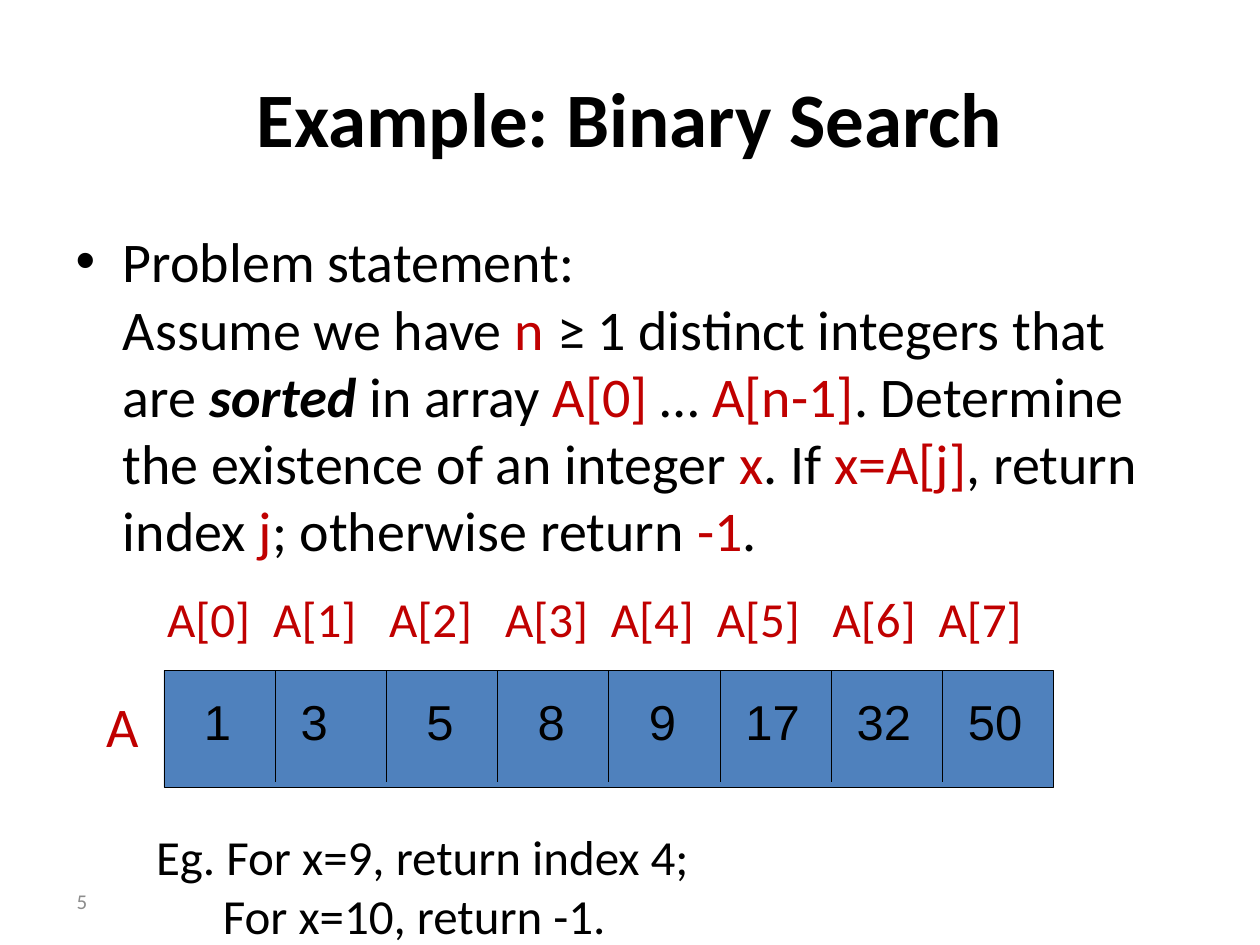
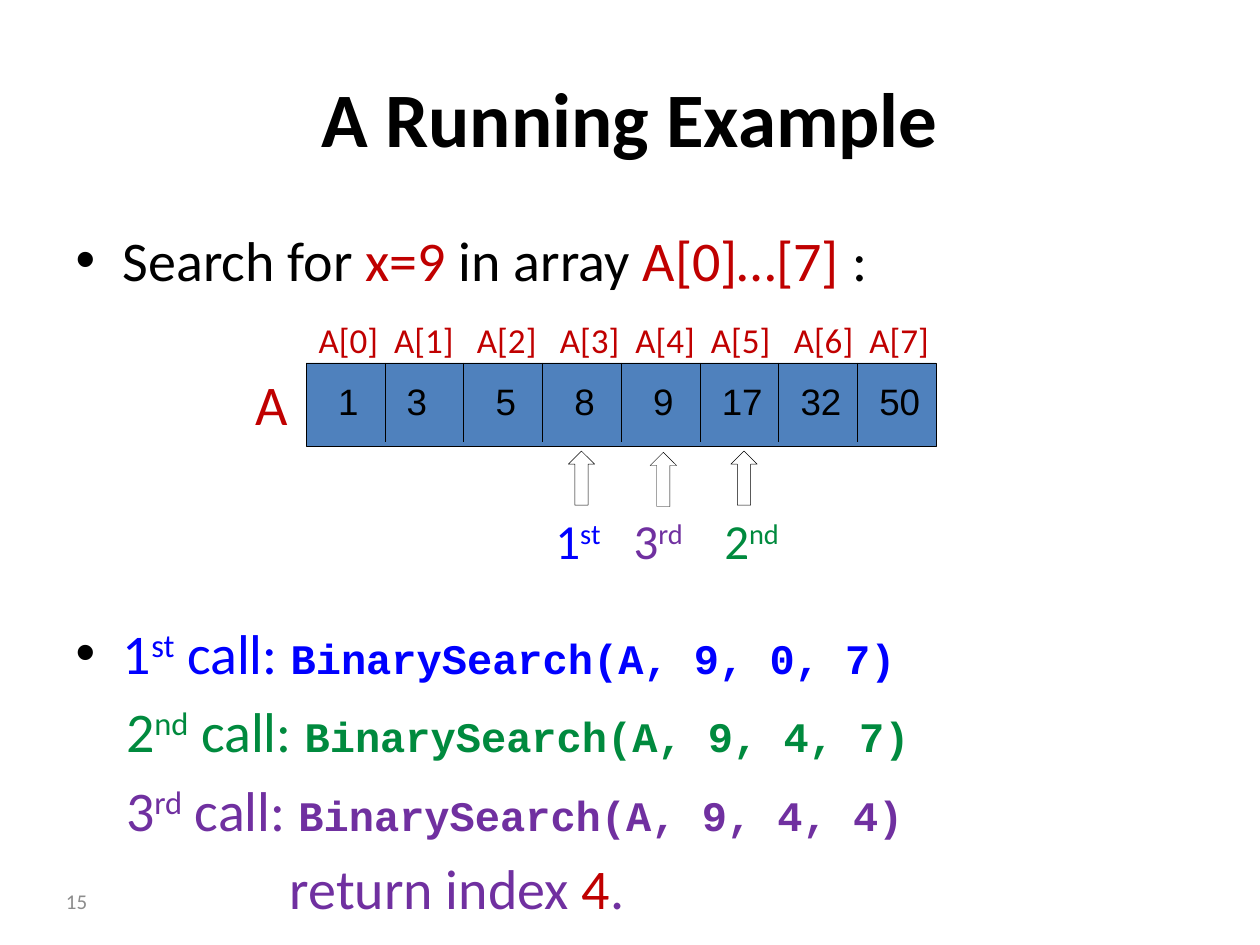
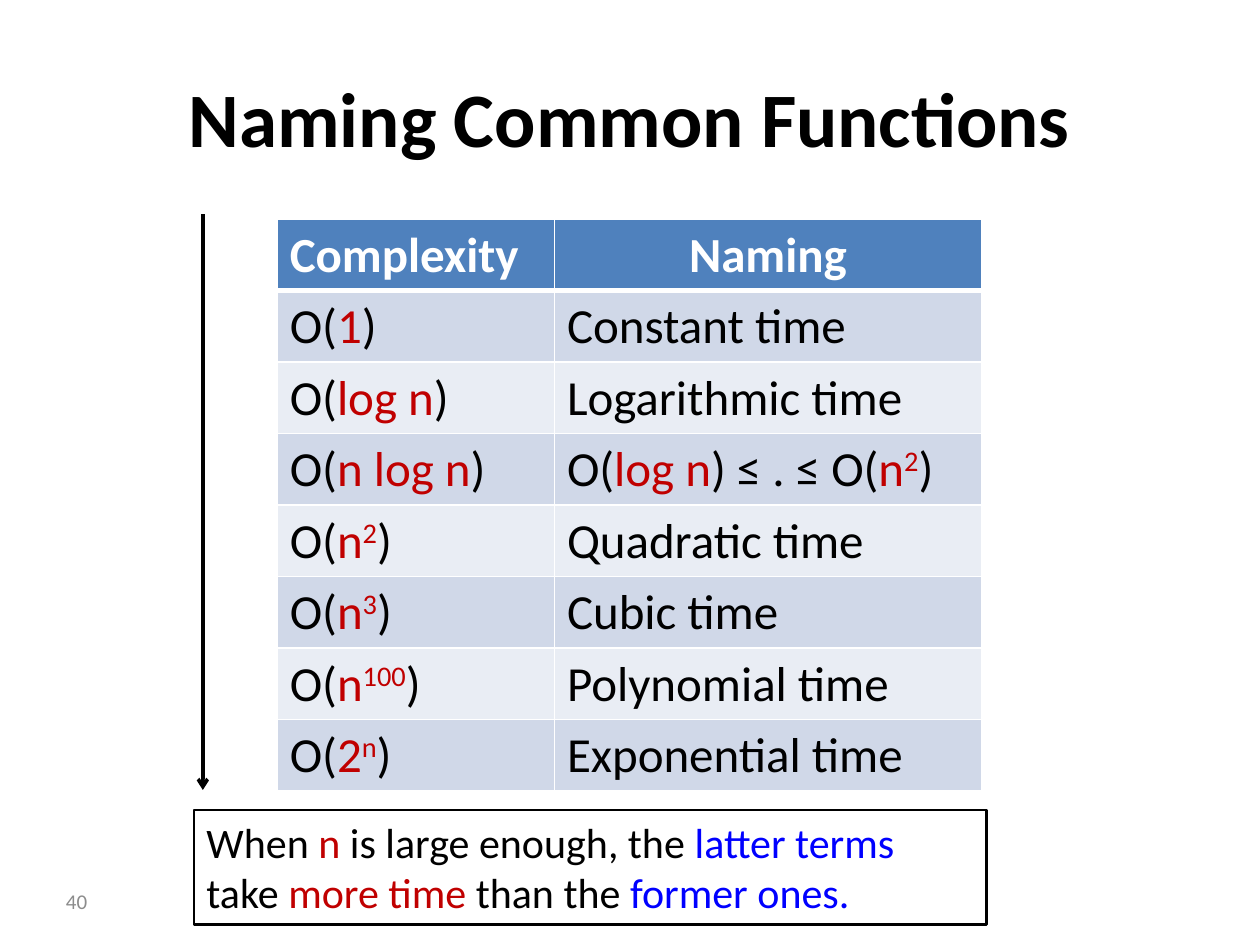
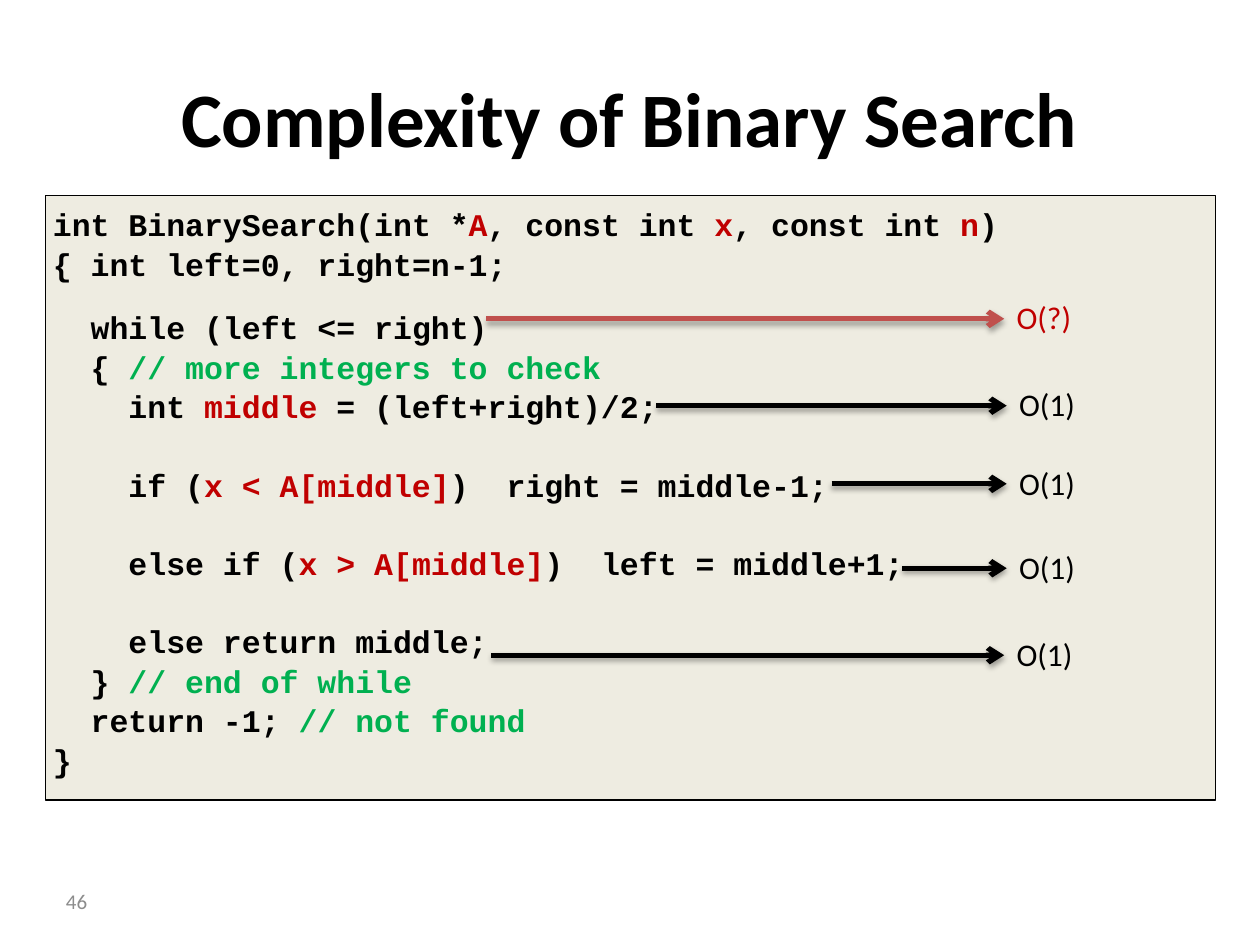
from dataclasses import dataclass
from typing import NamedTuple, Optional, Sequence

from lxml.etree import SubElement
from pptx import Presentation
from pptx.dml.color import RGBColor
from pptx.enum.shapes import MSO_CONNECTOR, MSO_SHAPE
from pptx.enum.text import MSO_ANCHOR, MSO_AUTO_SIZE, PP_ALIGN
from pptx.oxml.ns import qn
from pptx.util import Inches, Pt

BLACK, WHITE, RED, BLUE = "000000", "FFFFFF", "C00000", "0000FF"
GREEN, PURPLE, COMMENT = "008A3E", "7030A0", "00B050"
GRAY, ACCENT, ACCENT_RED, CODE_FILL = "8C8C8C", "4F81BD", "C0504D", "EEECE1"
TABLE_BANDS = ("D0D8E8", "E9EDF4")
BODY_FONT, ARRAY_FONT, CODE_FONT = "Calibri", "Arial", "Courier New"
TITLE_AND_CONTENT, TITLE_ONLY = 1, 5
LABEL_STOPS = (0.84, 1.76, 2.68, 3.52, 4.36, 5.28, 6.12)
ARRAY_LABELS = "\t".join(f"A[{index}]" for index in range(8))


class Piece(NamedTuple):
    text: str
    color: str = BLACK
    bold: bool = False
    italic: bool = False
    raised: bool = False
    font: Optional[str] = None
    size: Optional[float] = None


class Box(NamedTuple):
    left: float
    top: float
    width: float
    height: float

    def lengths(self):
        return [Inches(value) for value in self]


class ArrayValue(NamedTuple):
    text: str
    shift: float
    width: float


ARRAY_VALUES = (
    ArrayValue("1", 0.25, 0.62), ArrayValue("3", 0.12, 0.62),
    ArrayValue("5", 0.25, 0.62), ArrayValue("8", 0.25, 0.62),
    ArrayValue("9", 0.25, 0.62), ArrayValue("17", 0.12, 0.87),
    ArrayValue("32", 0.12, 0.87), ArrayValue("50", 0.12, 0.87),
)


@dataclass
class ArrayDrawing:
    box: Box
    divider_height: float
    value_top: float
    value_height: float
    value_size: float
    name_left: float
    name_top: float


class Call(NamedTuple):
    number: str
    suffix: str
    color: str
    arguments: str
    label_left: float
    label_width: float
    arrow_left: float
    arrow_top: float

    def ordinal(self):
        return [Piece(self.number, self.color),
                Piece(self.suffix, self.color, raised=True)]


class CodeLine(NamedTuple):
    level: int
    pieces: Sequence[Piece]
    space_before: float = 9.75


class Cost(NamedTuple):
    text: str
    start: float
    left: float
    top: float
    text_color: str = BLACK
    line_color: str = BLACK


def rgb(color: str) -> RGBColor:
    return RGBColor.from_string(color)


def add_runs(paragraph, pieces: Sequence[Piece], size: float,
             font: str = BODY_FONT) -> None:
    for piece in pieces:
        if piece.text == "\n":
            paragraph.add_line_break()
            continue
        run = paragraph.add_run()
        run.text = piece.text
        run.font.name = piece.font or font
        run.font.size = Pt(piece.size or size)
        run.font.bold = piece.bold
        run.font.italic = piece.italic
        run.font.color.rgb = rgb(piece.color)
        if piece.raised:
            run._r.get_or_add_rPr().set("baseline", "30000")


def set_indent(paragraph, left: float) -> None:
    properties = paragraph._p.get_or_add_pPr()
    properties.set("marL", str(Inches(left)))
    properties.set("indent", "0")


def set_tab_stops(paragraph, stops: Sequence[float]) -> None:
    tab_list = SubElement(paragraph._p.get_or_add_pPr(), qn("a:tabLst"))
    for stop in stops:
        SubElement(tab_list, qn("a:tab"), pos=str(Inches(stop)), algn="l")


def remove_bullet(paragraph) -> None:
    SubElement(paragraph._p.get_or_add_pPr(), qn("a:buNone"))


def color_bullet(paragraph, color: str) -> None:
    bullet_color = SubElement(paragraph._p.get_or_add_pPr(), qn("a:buClr"))
    SubElement(bullet_color, qn("a:srgbClr"), val=color)


def add_text(slide, box: Box, pieces: Sequence[Piece], size: float,
             font: str = BODY_FONT, wrap: bool = True):
    shape = slide.shapes.add_textbox(*box.lengths())
    shape.text_frame.word_wrap = wrap
    add_runs(shape.text_frame.paragraphs[0], pieces, size, font)
    return shape


def add_outlined_shape(slide, kind, box: Box, fill: Optional[str], width: float):
    shape = slide.shapes.add_shape(kind, *box.lengths())
    shape.shadow.inherit = False
    if fill:
        shape.fill.solid()
        shape.fill.fore_color.rgb = rgb(fill)
    else:
        shape.fill.background()
    shape.line.color.rgb = rgb(BLACK)
    shape.line.width = Pt(width)
    return shape


def add_line(slide, start: tuple[float, float], end: tuple[float, float],
             color: str, width: float, arrow: bool = False,
             shadow: bool = False) -> None:
    points = [Inches(value) for value in (*start, *end)]
    connector = slide.shapes.add_connector(MSO_CONNECTOR.STRAIGHT, *points)
    connector.line.color.rgb = rgb(color)
    connector.line.width = Pt(width)
    properties = connector._element.spPr
    if arrow:
        SubElement(properties.find(qn("a:ln")), qn("a:tailEnd"), type="arrow")
    effects = SubElement(properties, qn("a:effectLst"))
    if shadow:
        outer = SubElement(effects, qn("a:outerShdw"), blurRad=str(Pt(3.1)),
                           dist=str(Pt(1.8)), dir="5400000", rotWithShape="0")
        shadow_color = SubElement(outer, qn("a:srgbClr"), val=BLACK)
        SubElement(shadow_color, qn("a:alpha"), val="35000")


def add_slide(presentation, layout: int, title: str, number: int):
    slide = presentation.slides.add_slide(presentation.slide_layouts[layout])
    add_runs(slide.shapes.title.text_frame.paragraphs[0],
             [Piece(title, bold=True)], 44)
    footer = add_text(slide, Box(0, 6.95, 0.79, 0.4),
                      [Piece(str(number), GRAY)], 12)
    footer.text_frame.vertical_anchor = MSO_ANCHOR.MIDDLE
    footer.text_frame.paragraphs[0].alignment = PP_ALIGN.RIGHT
    return slide


def place_body(slide, box: Box):
    body = slide.placeholders[1]
    body.left, body.top, body.width, body.height = box.lengths()
    body.text_frame.auto_size = MSO_AUTO_SIZE.NONE
    return body.text_frame


def draw_array(slide, drawing: ArrayDrawing) -> None:
    box = drawing.box
    cell = box.width / len(ARRAY_VALUES)
    add_outlined_shape(slide, MSO_SHAPE.RECTANGLE, box, ACCENT, 0.25)
    add_text(slide, Box(drawing.name_left, drawing.name_top, 0.46, 0.64),
             [Piece("A", RED)], 32, wrap=False)
    for index, value in enumerate(ARRAY_VALUES):
        left = box.left + index * cell
        value_box = Box(left + value.shift * cell, drawing.value_top,
                        value.width * cell, drawing.value_height)
        add_text(slide, value_box, [Piece(value.text)],
                 drawing.value_size, ARRAY_FONT)
        if index:
            add_line(slide, (left, box.top),
                     (left, box.top + drawing.divider_height), BLACK, 0.25)


def build_problem(presentation) -> None:
    slide = add_slide(presentation, TITLE_AND_CONTENT,
                      "Example: Binary Search", 5)
    frame = place_body(slide, Box(0.5, 1.75, 9, 4.95))
    add_runs(frame.paragraphs[0], [
        Piece("Problem statement: "), Piece("\n"), Piece("Assume we have "),
        Piece("n", RED), Piece(" ≥ 1 distinct integers that are "),
        Piece("sorted", bold=True, italic=True), Piece(" in array "),
        Piece("A[0] ", RED), Piece("… "), Piece("A[n-1]", RED),
        Piece(". Determine the existence of an integer "), Piece("x", RED),
        Piece(". If "), Piece("x=A[j]", RED), Piece(", return index "),
        Piece("j", RED), Piece("; otherwise return "), Piece("-1", RED),
        Piece("."),
    ], 32)
    labels = add_text(slide, Box(1.14, 4.62, 8.11, 2.88),
                      [Piece(" " + ARRAY_LABELS, RED)], 28)
    set_tab_stops(labels.text_frame.paragraphs[0],
                  [stop + 0.09 for stop in LABEL_STOPS])
    example = labels.text_frame.add_paragraph()
    example.space_before = Pt(102.5)
    add_runs(example, [Piece("Eg. For x=9, return index 4;")], 28)
    missing = labels.text_frame.add_paragraph()
    set_indent(missing, 0.53)
    add_runs(missing, [Piece("For x=10, return -1.")], 28)
    draw_array(slide, ArrayDrawing(Box(1.3, 5.32, 7.06, 0.93), 0.89,
                                   5.44, 0.57, 28, 0.75, 5.44))


def build_running_example(presentation) -> None:
    slide = add_slide(presentation, TITLE_AND_CONTENT, "A Running Example", 15)
    calls = (
        Call("1", "st", BLUE, "A, 9, 0, 7", 4.31, 0.62, 4.51, 3.58),
        Call("2", "nd", GREEN, "A, 9, 4, 7", 5.65, 0.7, 5.8, 3.58),
        Call("3", "rd", PURPLE, "A, 9, 4, 4", 4.93, 0.62, 5.16, 3.59),
    )
    frame = place_body(slide, Box(0.5, 1.74, 9, 5.56))
    add_runs(frame.paragraphs[0], [
        Piece("Search for "), Piece("x=9", RED), Piece(" in array "),
        Piece("A[0]…[7]", RED), Piece(" :"),
    ], 32)
    for index, call in enumerate(calls):
        paragraph = frame.add_paragraph()
        if index:
            set_indent(paragraph, 0.4)
            remove_bullet(paragraph)
        else:
            paragraph.space_before = Pt(186)
            color_bullet(paragraph, BLACK)
        add_runs(paragraph, [
            *call.ordinal(), Piece(" call: ", call.color),
            Piece(f"BinarySearch({call.arguments})", call.color, bold=True,
                  font=CODE_FONT, size=24),
        ], 32)
        add_text(slide, Box(call.label_left, 4, call.label_width, 0.57),
                 call.ordinal(), 28)
        add_outlined_shape(slide, MSO_SHAPE.UP_ARROW,
                           Box(call.arrow_left, call.arrow_top, 0.21, 0.43),
                           None, 0.25)
    result = frame.add_paragraph()
    set_indent(result, 1.7)
    remove_bullet(result)
    add_runs(result, [Piece("return index ", PURPLE), Piece("4", RED),
                      Piece(".", PURPLE)], 32)
    draw_array(slide, ArrayDrawing(Box(2.43, 2.88, 5, 0.66), 0.63,
                                   2.96, 0.45, 21, 1.93, 2.88))
    labels = add_text(slide, Box(2.43, 2.48, 5.09, 0.44),
                      [Piece(ARRAY_LABELS, RED)], 20, wrap=False)
    set_tab_stops(labels.text_frame.paragraphs[0],
                  [stop * 20 / 28 for stop in LABEL_STOPS])


def big_o(base: str, exponent: str = "") -> list[Piece]:
    power = [Piece(exponent, RED, raised=True)] if exponent else []
    return [Piece("O("), Piece(base, RED), *power, Piece(")")]


def format_cell(cell, pieces: Sequence[Piece], fill: str, top: float,
                bottom: float) -> None:
    add_runs(cell.text_frame.paragraphs[0], pieces, 28)
    properties = cell._tc.get_or_add_tcPr()
    for side, width in (("L", 1), ("R", 1), ("T", top), ("B", bottom)):
        border = SubElement(properties, qn(f"a:ln{side}"), w=str(Pt(width)))
        border_fill = SubElement(border, qn("a:solidFill"))
        SubElement(border_fill, qn("a:srgbClr"), val=WHITE)
    cell.fill.solid()
    cell.fill.fore_color.rgb = rgb(fill)


def build_naming(presentation) -> None:
    slide = add_slide(presentation, TITLE_ONLY, "Naming Common Functions", 40)
    rows = (
        ([Piece("Complexity", WHITE, bold=True)],
         [Piece("Naming", WHITE, bold=True)]),
        (big_o("1"), [Piece("Constant time")]),
        (big_o("log n"), [Piece("Logarithmic time")]),
        (big_o("n log n"),
         [*big_o("log n"), Piece(" ≤ . ≤ "), *big_o("n", "2")]),
        (big_o("n", "2"), [Piece("Quadratic time")]),
        (big_o("n", "3"), [Piece("Cubic time")]),
        (big_o("n", "100"), [Piece("Polynomial time")]),
        (big_o("2", "n"), [Piece("Exponential time")]),
    )
    table = slide.shapes.add_table(len(rows), 2, *Box(2.2, 1.74, 5.59, 4.53)
                                   .lengths()).table
    for column, width in zip(table.columns, (2.2, 3.39)):
        column.width = Inches(width)
    for row_index, row in enumerate(rows):
        fill = TABLE_BANDS[(row_index - 1) % 2] if row_index else ACCENT
        for column_index, pieces in enumerate(row):
            format_cell(table.cell(row_index, column_index), pieces, fill,
                        3 if row_index == 1 else 1, 1 if row_index else 3)
    table.cell(0, 1).text_frame.paragraphs[0].alignment = PP_ALIGN.CENTER
    add_line(slide, (1.61, 1.7), (1.61, 6.27), BLACK, 2, arrow=True)
    callout = add_outlined_shape(slide, MSO_SHAPE.RECTANGLE,
                                 Box(1.54, 6.43, 6.29, 0.91), None, 1.5)
    callout.text_frame.word_wrap = True
    callout.text_frame.vertical_anchor = MSO_ANCHOR.TOP
    paragraph = callout.text_frame.paragraphs[0]
    paragraph.alignment = PP_ALIGN.LEFT
    add_runs(paragraph, [
        Piece("When "), Piece("n", RED), Piece(" is large enough, the "),
        Piece("latter terms ", BLUE), Piece("take "), Piece("more time", RED),
        Piece(" than the "), Piece("former ones.", BLUE),
    ], 24)


def code(text: str, color: str = BLACK) -> Piece:
    return Piece(text, color, bold=True)


def build_complexity(presentation) -> None:
    slide = add_slide(presentation, TITLE_ONLY,
                      "Complexity of Binary Search", 46)
    after_half_line, after_line = 23.2, 31.75
    lines = (
        CodeLine(0, [code("int BinarySearch(int *"), code("A", RED),
                     code(", const int "), code("x", RED),
                     code(", const int"), code(" n", RED), code(")")]),
        CodeLine(0, [code("{ int left=0, right=n-1;")]),
        CodeLine(1, [code("while (left <= right)")], after_half_line),
        CodeLine(1, [code("{ "), code("// more integers to check", COMMENT)]),
        CodeLine(2, [code("int "), code("middle ", RED),
                     code("= (left+right)/2;")]),
        CodeLine(2, [code("if ("), code("x < A[middle]", RED),
                     code(")  right = middle-1;")], after_line),
        CodeLine(2, [code("else if ("), code("x > A[middle]", RED),
                     code(")  left = middle+1;")], after_line),
        CodeLine(2, [code("else return middle;")], after_line),
        CodeLine(1, [code("} "), code("// end of while", COMMENT)]),
        CodeLine(1, [code("return -1; "), code("// not found", COMMENT)]),
        CodeLine(0, [code("}")]),
    )
    panel = add_outlined_shape(slide, MSO_SHAPE.RECTANGLE,
                               Box(0.36, 1.55, 9.29, 4.8), CODE_FILL, 0.75)
    frame = panel.text_frame
    frame.word_wrap = True
    frame.vertical_anchor = MSO_ANCHOR.MIDDLE
    frame.margin_left = frame.margin_right = Inches(0.06)
    frame.margin_top = frame.margin_bottom = Inches(0.13)
    for index, line in enumerate(lines):
        paragraph = frame.add_paragraph() if index else frame.paragraphs[0]
        paragraph.alignment = PP_ALIGN.LEFT
        paragraph.line_spacing = 0.6
        paragraph.space_before = Pt(line.space_before)
        set_indent(paragraph, 0.3 * line.level)
        add_runs(paragraph, line.pieces, 18, CODE_FONT)
    costs = (
        Cost("O(?)", 3.86, 7.97, 2.32, RED, ACCENT_RED),
        Cost("O(1)", 5.21, 7.99, 3.01),
        Cost("O(1)", 6.6, 7.99, 3.63),
        Cost("O(1)", 7.16, 7.99, 4.3),
        Cost("O(1)", 3.9, 7.97, 4.99),
    )
    for cost in costs:
        add_text(slide, Box(cost.left, cost.top, 0.65, 0.4),
                 [Piece(cost.text, cost.text_color)], 18, wrap=False)
        height = cost.top + 0.21
        add_line(slide, (cost.start, height), (cost.left, height),
                 cost.line_color, 3, arrow=True, shadow=True)


def main() -> None:
    presentation = Presentation()
    presentation.slide_width = Inches(10)
    presentation.slide_height = Inches(7.5)
    build_problem(presentation)
    build_running_example(presentation)
    build_naming(presentation)
    build_complexity(presentation)
    presentation.save("out.pptx")


main()
